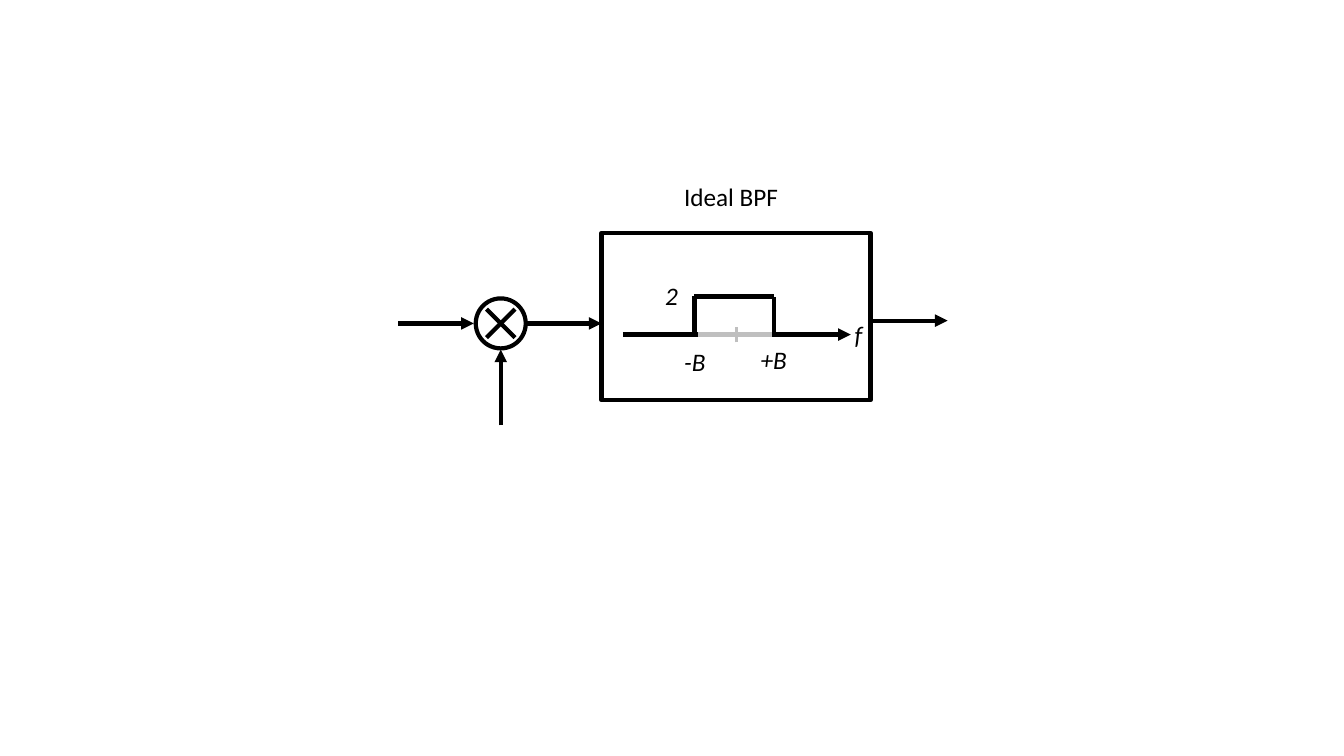
from lxml import etree
from pptx import Presentation
from pptx.dml.color import RGBColor
from pptx.enum.shapes import MSO_CONNECTOR, MSO_SHAPE
from pptx.enum.text import MSO_AUTO_SIZE
from pptx.oxml.ns import qn
from pptx.util import Cm, Pt

STRAIGHT = MSO_CONNECTOR.STRAIGHT
OVAL = MSO_SHAPE.OVAL
RECTANGLE = MSO_SHAPE.RECTANGLE
GROW = MSO_AUTO_SIZE.SHAPE_TO_FIT_TEXT

COLOURS = {"ink": "000000", "muted": "BFBFBF"}
LABEL_FONT = {"name": "Calibri", "size": Pt(18)}

ARROW = 1.91
MIXER_X, MIXER_Y, MIXER_RADIUS = 12.62, 8.15, 0.63
CROSS_REACH = 0.36
FILTER_LEFT, FILTER_TOP, FILTER_WIDTH, FILTER_HEIGHT = 15.16, 5.87, 6.78, 4.22
AXIS_Y = 8.43
BAND_LEFT, BAND_RIGHT, BAND_TOP = 17.5, 19.51, 7.47


def colour(name):
    return RGBColor.from_string(COLOURS[name])


def add_line(slide, start, end, arrow=False, ink="ink", width=3):
    connector = slide.shapes.add_connector(
        STRAIGHT, *(Cm(value) for value in (*start, *end)))
    connector.line.color.rgb = colour(ink)
    connector.line.width = Pt(width)
    if arrow:
        outline = connector.line._get_or_add_ln()
        etree.SubElement(outline, qn("a:tailEnd"), type="triangle")
    etree.SubElement(connector._element.spPr, qn("a:effectLst"))


def add_outline(slide, kind, left, top, width, height):
    shape = slide.shapes.add_shape(
        kind, Cm(left), Cm(top), Cm(width), Cm(height))
    shape.shadow.inherit = False
    shape.fill.background()
    shape.line.color.rgb = colour("ink")
    shape.line.width = Pt(3)


def add_label(slide, text, left, top, width, italic=True):
    box = slide.shapes.add_textbox(Cm(left), Cm(top), Cm(width), Cm(1.02))
    frame = box.text_frame
    frame.word_wrap = False
    frame.auto_size = GROW
    frame.text = text
    font = frame.paragraphs[0].runs[0].font
    for attribute, value in LABEL_FONT.items():
        setattr(font, attribute, value)
    font.italic = italic
    font.color.rgb = colour("ink")


def add_mixer(slide):
    """Draw the multiplier with its two inputs and its output."""
    add_line(slide, (10.03, MIXER_Y), (10.03 + ARROW, MIXER_Y), arrow=True)
    add_line(slide, (MIXER_X, 8.81 + ARROW), (MIXER_X, 8.81), arrow=True)
    add_outline(slide, OVAL, MIXER_X - MIXER_RADIUS, MIXER_Y - MIXER_RADIUS,
                2 * MIXER_RADIUS, 2 * MIXER_RADIUS)
    for reach in (CROSS_REACH, -CROSS_REACH):
        add_line(slide, (MIXER_X - reach, MIXER_Y - CROSS_REACH),
                 (MIXER_X + reach, MIXER_Y + CROSS_REACH))
    add_line(slide, (MIXER_X + MIXER_RADIUS, MIXER_Y),
             (FILTER_LEFT, MIXER_Y), arrow=True)


def add_filter(slide):
    """Draw the filter box, its frequency response and its output."""
    add_outline(slide, RECTANGLE, FILTER_LEFT, FILTER_TOP,
                FILTER_WIDTH, FILTER_HEIGHT)
    add_line(slide, (15.7, AXIS_Y), (21.44, AXIS_Y), arrow=True)
    add_line(slide, (17.58, AXIS_Y), (19.56, AXIS_Y), ink="muted")
    add_line(slide, (18.57, AXIS_Y + 0.2), (18.57, AXIS_Y - 0.2),
             ink="muted", width=2)
    add_label(slide, "+B", 18.92, 8.56, 1.17)
    add_label(slide, "-B", 16.99, 8.59, 1.07)
    add_line(slide, (BAND_LEFT, BAND_TOP), (BAND_LEFT, 8.46))
    add_line(slide, (BAND_LEFT, BAND_TOP), (BAND_RIGHT, BAND_TOP))
    add_line(slide, (BAND_RIGHT, 7.49), (BAND_RIGHT, 8.48))
    add_label(slide, "Ideal BPF", 16.99, 4.45, 2.9, italic=False)
    add_label(slide, "f", 21.29, 7.92, 0.71)
    add_label(slide, "2", 16.51, 6.93, 0.84)
    add_line(slide, (21.97, 8.08), (21.97 + ARROW, 8.08), arrow=True)


def main():
    presentation = Presentation()
    presentation.slide_width = Cm(33.87)
    presentation.slide_height = Cm(19.05)
    slide = presentation.slides.add_slide(presentation.slide_layouts[6])
    add_mixer(slide)
    add_filter(slide)
    presentation.save("out.pptx")


if __name__ == "__main__":
    main()
